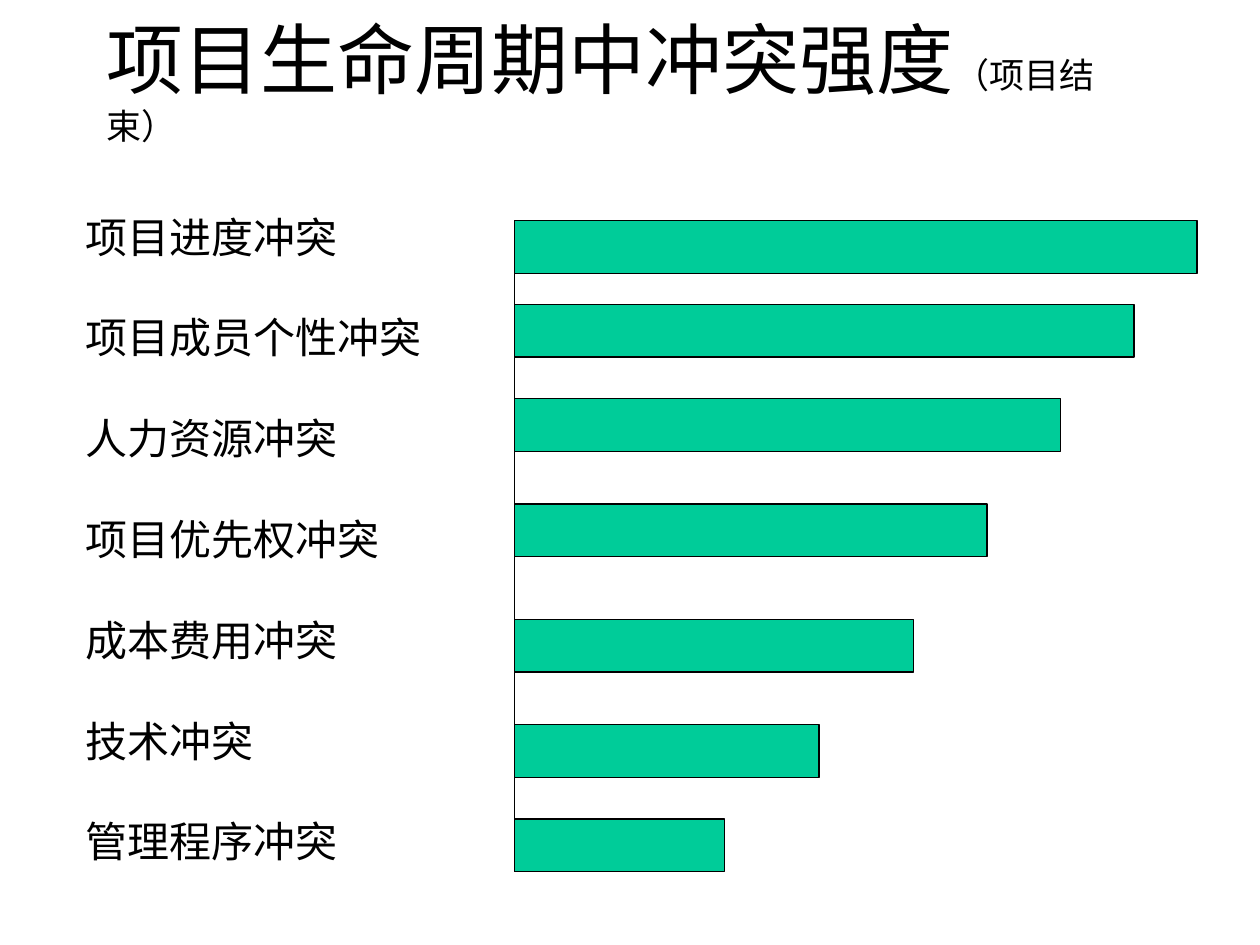
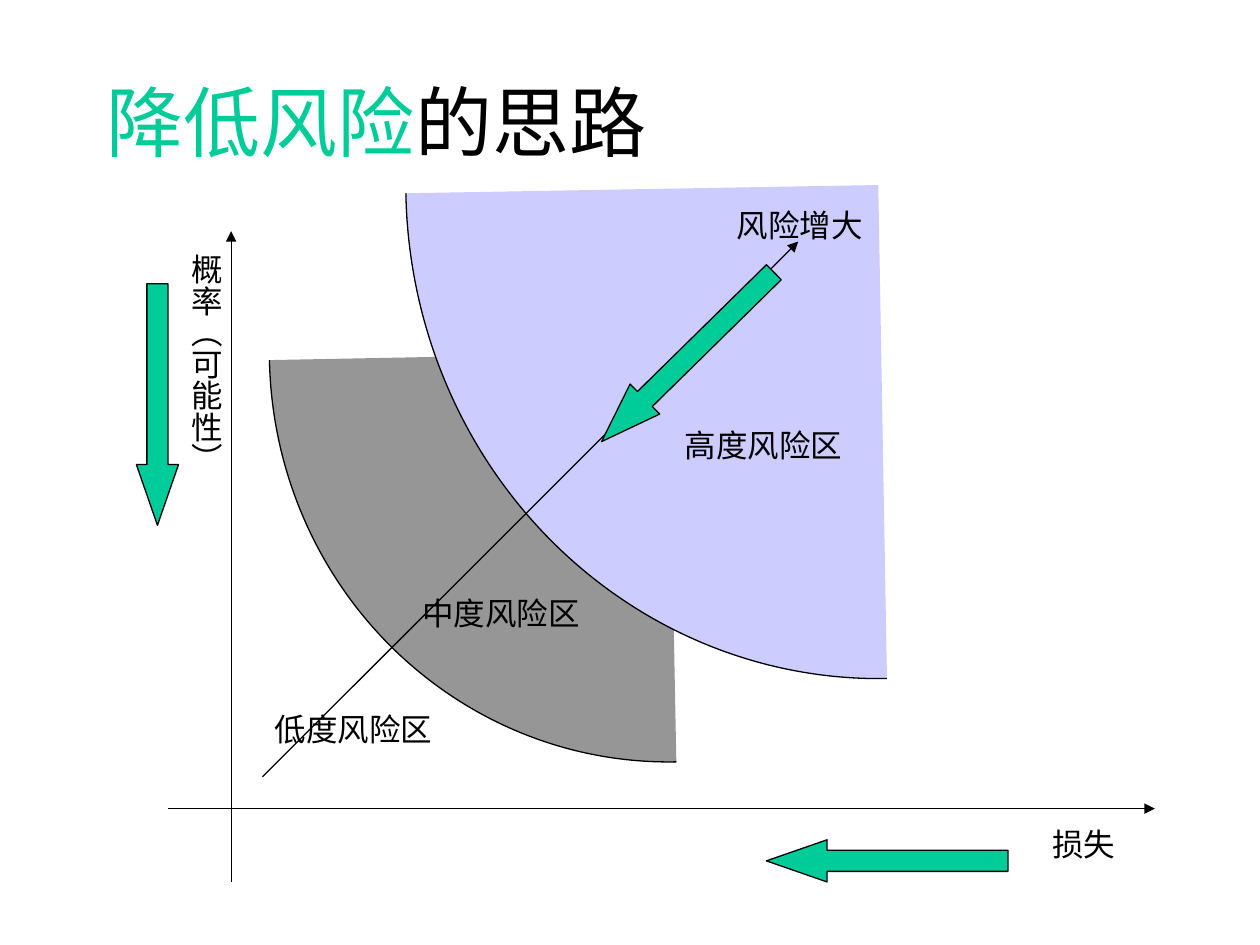
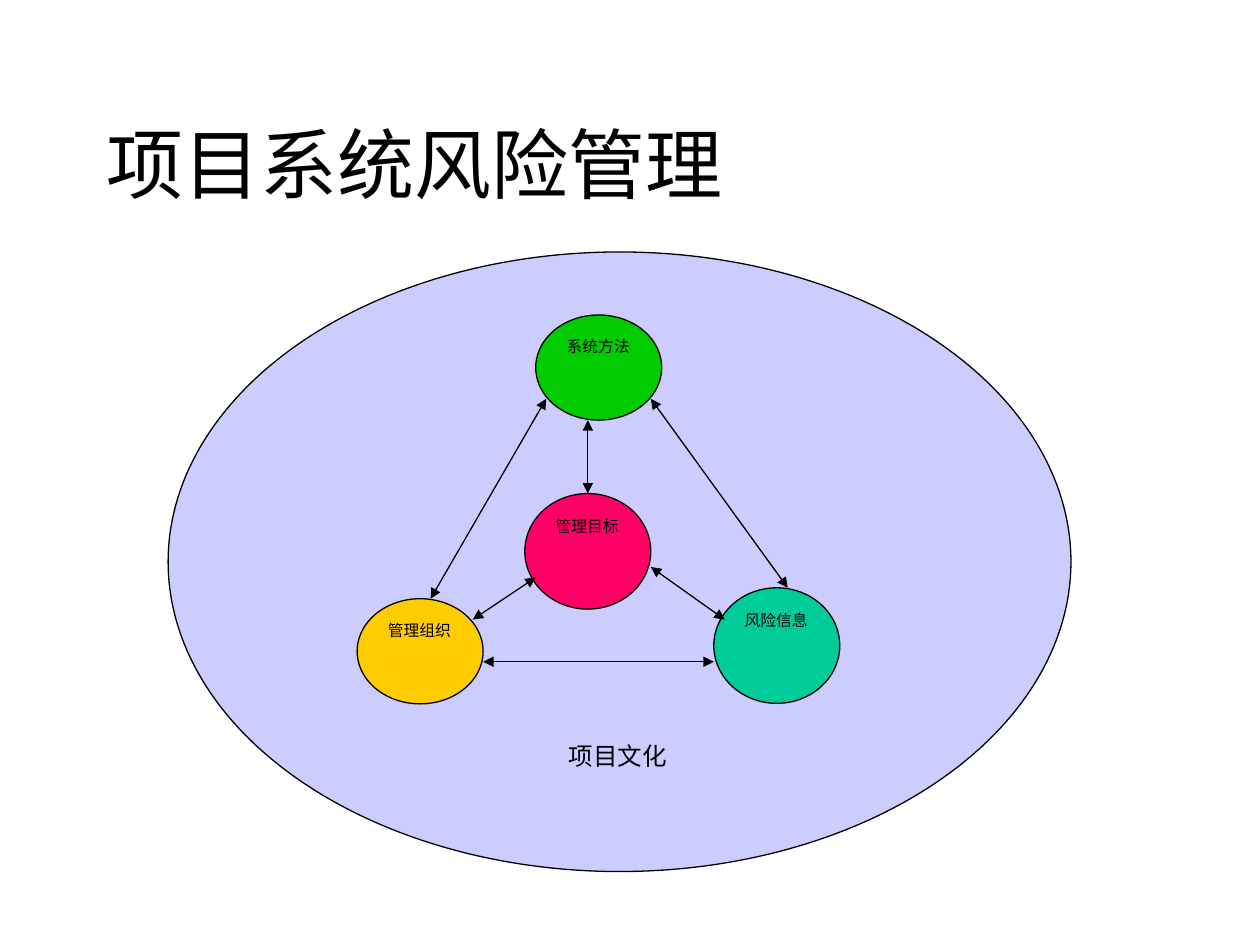
from typing import NamedTuple

from lxml.etree import SubElement
from pptx import Presentation
from pptx.dml.color import RGBColor
from pptx.enum.shapes import MSO_CONNECTOR as LINE, MSO_SHAPE as SHAPE
from pptx.enum.text import MSO_ANCHOR as ANCHOR, MSO_AUTO_SIZE as FIT, PP_ALIGN as ALIGN
from pptx.oxml.ns import qn
from pptx.presentation import Presentation as Deck
from pptx.shapes.autoshape import Shape
from pptx.slide import Slide
from pptx.text.text import TextFrame
from pptx.util import Cm, Pt

FONT = "Times New Roman"
COLORS = {
    "black": "000000",
    "teal": "00CC99",
    "grey": "969696",
    "lilac": "CCCCFF",
    "pink": "FF0066",
    "green": "00CC00",
    "amber": "FFCC00",
}
LINE_WIDTH = Pt(0.75)


class Box(NamedTuple):
    """Left, top, width and height in centimetres."""
    left: float
    top: float
    width: float
    height: float


class Run(NamedTuple):
    text: str
    size: float = 44
    color: str = "black"


class Bar(NamedTuple):
    label: str
    top: float
    length: float


class Label(NamedTuple):
    text: str
    box: Box
    size: float = 18


class Figure(NamedTuple):
    kind: SHAPE
    box: Box
    color: str
    rotation: float = 0
    adjustments: tuple[float, ...] = ()


class Node(NamedTuple):
    text: str
    box: Box
    color: str


class Link(NamedTuple):
    x1: float
    y1: float
    x2: float
    y2: float


AXIS_LEFT, BAR_HEIGHT = 10.37, 1.06
BARS = [
    Bar("项目进度冲突", 4.45, 13.76),
    Bar("项目成员个性冲突", 6.14, 12.49),
    Bar("人力资源冲突", 8.04, 11.01),
    Bar("项目优先权冲突", 10.16, 9.53),
    Bar("成本费用冲突", 12.49, 8.04),
    Bar("技术冲突", 14.61, 6.14),
    Bar("管理程序冲突", 16.51, 4.23),
]

RISK_AXES = [Link(3.39, 16.3, 23.28, 16.3), Link(4.66, 17.78, 4.66, 4.66)]
RISK_GROWTH = Link(5.29, 15.66, 16.09, 4.87)
RISK_ZONES = [
    Figure(SHAPE.ARC, Box(5.43, -1.15, 16.09, 16.51), "grey", 178.9),
    Figure(SHAPE.ARC, Box(8.18, -6.22, 19.05, 19.9), "lilac", 179),
]
RISK_LABELS = [
    Label("损失", Box(20.96, 16.51, 3.18, 1.02)),
    Label("风险增大", Box(14.6, 4.02, 4.45, 1.02)),
    Label("高度风险区", Box(13.55, 8.47, 4.02, 1.02)),
    Label("中度风险区", Box(8.26, 11.85, 4.02, 1.02)),
    Label("低度风险区", Box(5.29, 14.18, 4.02, 1.02)),
]
PROBABILITY = Label("概率（可能性）", Box(3.4, 4.87, 1.27, 5.93))
ARROW_HEAD = (0.5, 1.44)
REDUCTION_ARROWS = [
    Figure(SHAPE.DOWN_ARROW, Box(2.75, 5.72, 0.85, 4.87), "teal", 0, ARROW_HEAD),
    Figure(SHAPE.LEFT_ARROW, Box(15.45, 16.93, 4.87, 0.85), "teal", 0, ARROW_HEAD),
    Figure(SHAPE.LEFT_ARROW, Box(11.43, 6.77, 4.87, 0.85), "teal", 315.5, ARROW_HEAD),
]

CULTURE = Figure(SHAPE.FLOWCHART_CONNECTOR, Box(3.39, 5.08, 18.2, 12.49), "lilac")
CULTURE_LABEL = Label("项目文化", Box(11.22, 14.82, 3.18, 0.86), 14)
NODES = [
    Node("管理目标", Box(10.58, 9.95, 2.54, 2.33), "pink"),
    Node("系统方法", Box(10.8, 6.35, 2.54, 2.12), "green"),
    Node("管理组织", Box(7.2, 12.07, 2.54, 2.12), "amber"),
    Node("风险信息", Box(14.39, 11.85, 2.54, 2.33), "teal"),
]
NODE_LINKS = [
    Link(11.01, 8.04, 8.68, 12.07),
    Link(13.12, 8.04, 15.88, 11.85),
    Link(9.74, 13.34, 14.39, 13.34),
    Link(11.85, 8.47, 11.85, 9.95),
    Link(10.8, 11.64, 9.53, 12.49),
    Link(13.12, 11.43, 14.61, 12.49),
]


def rgb(name: str) -> RGBColor:
    return RGBColor.from_string(COLORS[name])


def add_runs(tf: TextFrame, *runs: Run, align: ALIGN = ALIGN.LEFT) -> None:
    """Fill the first paragraph of a frame run by run."""
    p = tf.paragraphs[0]
    p.alignment = align
    for run in runs:
        write_run(p, run)


def write_run(p, run: Run) -> None:
    r = p.add_run()
    r.text = run.text
    r.font.name = FONT
    r.font.size = Pt(run.size)
    r.font.color.rgb = rgb(run.color)


def add_titled_slide(prs: Deck, top: float, *runs: Run) -> Slide:
    s = prs.slides.add_slide(prs.slide_layouts[5])
    title = s.shapes.title
    title.left, title.top, title.width, title.height = map(Cm, (1.9, top, 21.59, 3.18))
    tf = title.text_frame
    tf.auto_size = FIT.NONE
    tf.word_wrap = True
    tf.vertical_anchor = ANCHOR.MIDDLE
    add_runs(tf, *runs)
    return s


def add_frame(s: Slide, box: Box) -> TextFrame:
    tf = s.shapes.add_textbox(*map(Cm, box)).text_frame
    tf.word_wrap = True
    return tf


def add_label(s: Slide, label: Label) -> TextFrame:
    tf = add_frame(s, label.box)
    add_runs(tf, Run(label.text, label.size))
    return tf


def add_figure(s: Slide, fig: Figure) -> Shape:
    sp = s.shapes.add_shape(fig.kind, *map(Cm, fig.box))
    sp.shadow.inherit = False
    sp.rotation = fig.rotation
    for i, value in enumerate(fig.adjustments):
        sp.adjustments[i] = value
    sp.fill.solid()
    sp.fill.fore_color.rgb = rgb(fig.color)
    sp.line.color.rgb = rgb("black")
    sp.line.width = LINE_WIDTH
    return sp


def add_link(s: Slide, link: Link, *ends: str) -> None:
    """Draw a line with triangles at the given ends ("headEnd", "tailEnd")."""
    cxn = s.shapes.add_connector(LINE.STRAIGHT, *map(Cm, link))
    cxn.line.color.rgb = rgb("black")
    cxn.line.width = LINE_WIDTH
    sp_pr = cxn._element.spPr
    for end in ends:
        SubElement(sp_pr.find(qn("a:ln")), qn(f"a:{end}"), type="triangle")
    SubElement(sp_pr, qn("a:effectLst"))


def add_node(s: Slide, node: Node) -> None:
    tf = add_figure(s, Figure(SHAPE.OVAL, node.box, node.color)).text_frame
    tf.vertical_anchor = ANCHOR.TOP
    add_runs(tf, Run(node.text, 9), align=ALIGN.JUSTIFY)


def build_conflict_slide(prs: Deck) -> None:
    s = add_titled_slide(prs, 0, Run("项目生命周期中冲突强度"), Run("（项目结束）", 20))
    tf = add_frame(s, Box(1.48, 4.13, 8.68, 13.8))
    for i, bar in enumerate(BARS):
        p = tf.add_paragraph() if i else tf.paragraphs[0]
        if i:
            p.space_before = Pt(28.8)
        write_run(p, Run(bar.label, 24))
    axis_bottom = BARS[-1].top + BAR_HEIGHT
    add_link(s, Link(AXIS_LEFT, BARS[0].top, AXIS_LEFT, axis_bottom))
    for bar in BARS:
        box = Box(AXIS_LEFT, bar.top, bar.length, BAR_HEIGHT)
        add_figure(s, Figure(SHAPE.RECTANGLE, box, "teal"))


def build_risk_slide(prs: Deck) -> None:
    s = add_titled_slide(prs, 0.85, Run("降低风险", color="teal"), Run("的思路"))
    for axis in RISK_AXES:
        add_link(s, axis, "tailEnd")
    tf = add_label(s, PROBABILITY)
    tf.margin_left = tf.margin_right = Cm(0.13)
    tf.margin_top = tf.margin_bottom = Cm(0.25)
    tf._txBody.bodyPr.set("vert", "eaVert")
    for zone in RISK_ZONES:
        add_figure(s, zone)
    add_link(s, RISK_GROWTH, "tailEnd")
    for label in RISK_LABELS:
        add_label(s, label)
    for arrow in REDUCTION_ARROWS:
        add_figure(s, arrow)


def build_system_slide(prs: Deck) -> None:
    s = add_titled_slide(prs, 1.69, Run("项目系统风险管理"))
    add_figure(s, CULTURE)
    for node in NODES:
        add_node(s, node)
    add_label(s, CULTURE_LABEL)
    for link in NODE_LINKS:
        add_link(s, link, "headEnd", "tailEnd")


def main() -> None:
    prs = Presentation()
    prs.slide_width, prs.slide_height = Cm(25.4), Cm(19.05)
    build_conflict_slide(prs)
    build_risk_slide(prs)
    build_system_slide(prs)
    prs.save("out.pptx")


if __name__ == "__main__":
    main()
